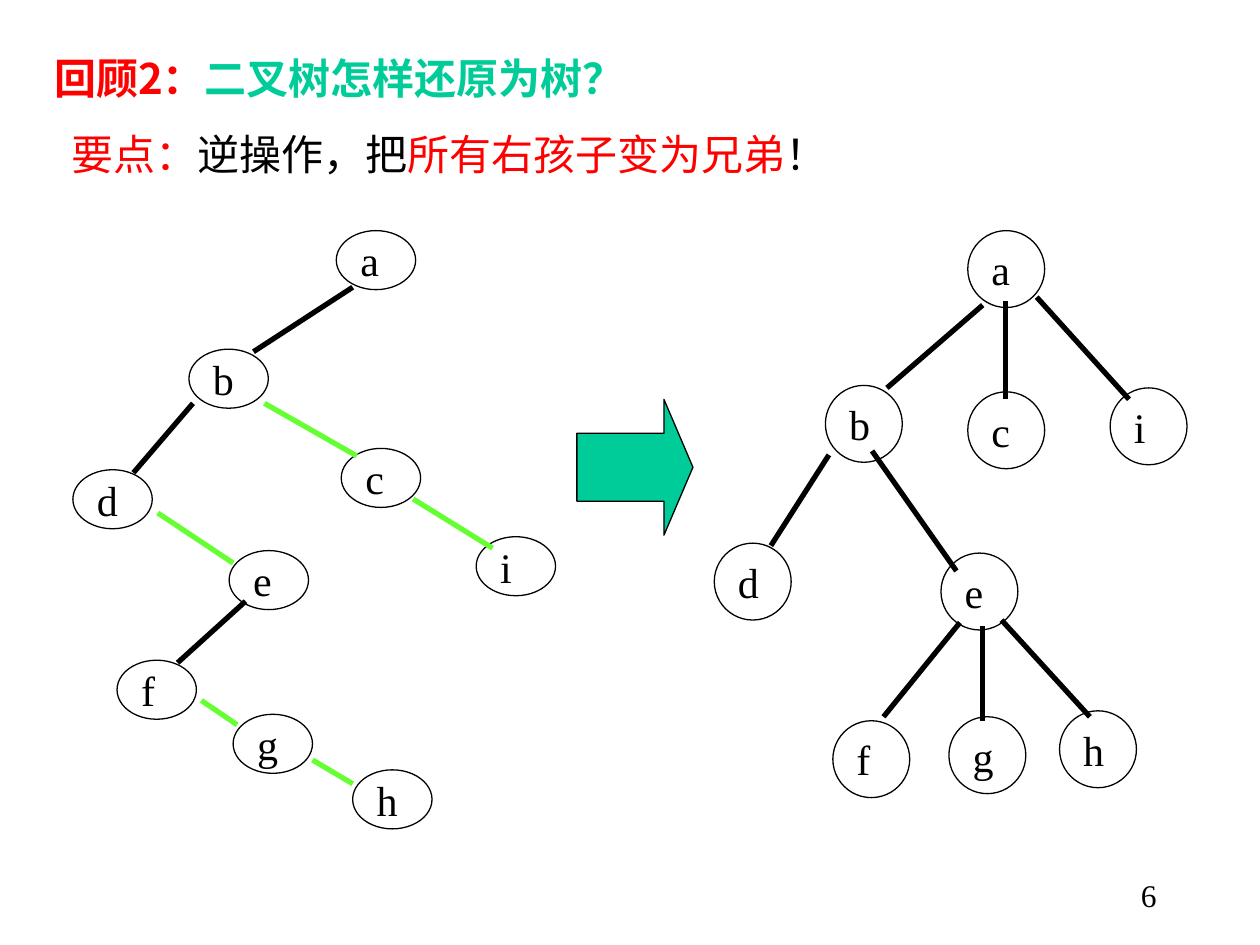
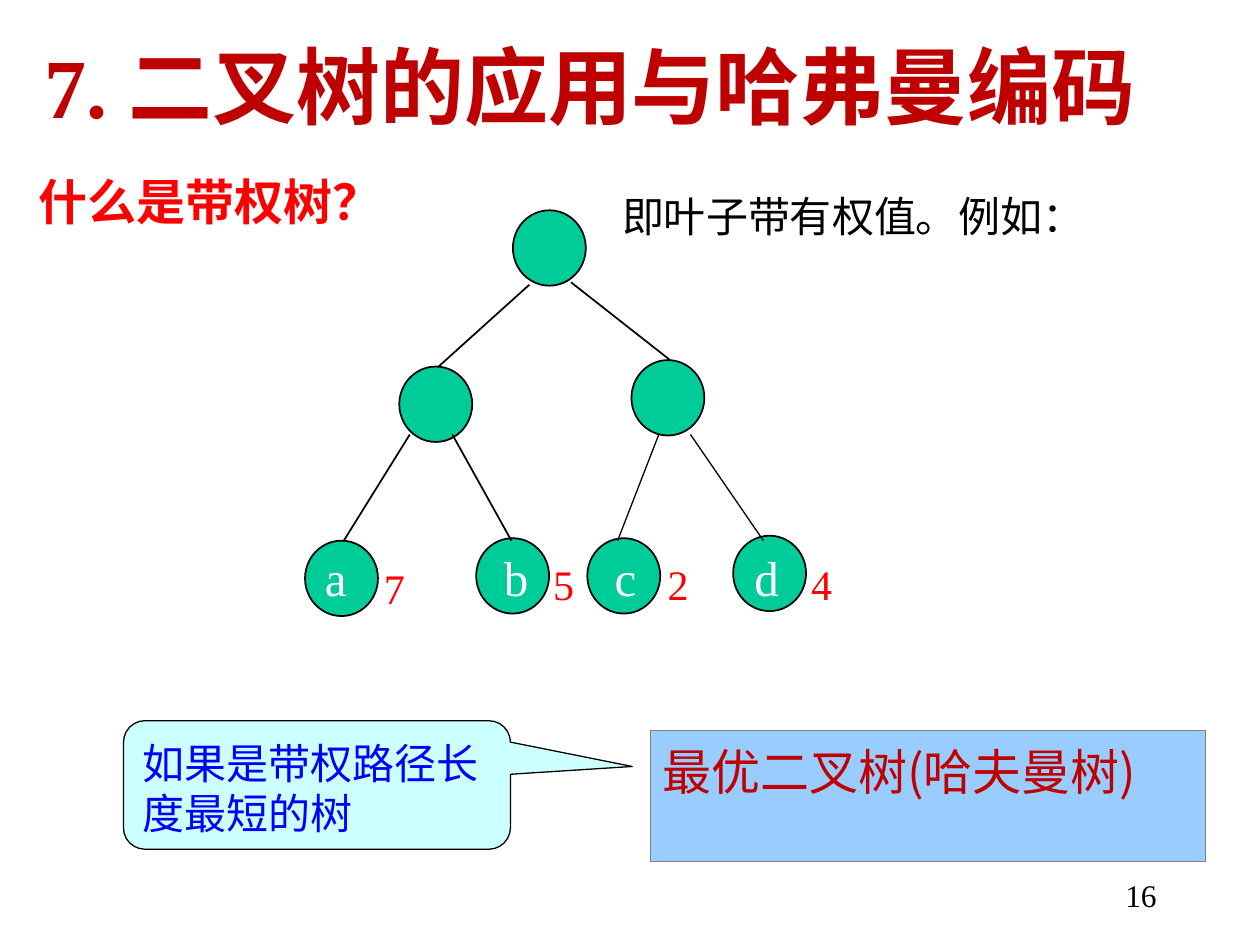
from lxml import etree
from pptx import Presentation
from pptx.dml.color import RGBColor
from pptx.enum.shapes import MSO_CONNECTOR, MSO_SHAPE
from pptx.enum.text import MSO_ANCHOR, MSO_AUTO_SIZE, PP_ALIGN
from pptx.oxml.ns import qn
from pptx.util import Cm, Pt

OVAL, RECTANGLE = MSO_SHAPE.OVAL, MSO_SHAPE.RECTANGLE
RIGHT_ARROW, CALLOUT = MSO_SHAPE.RIGHT_ARROW, MSO_SHAPE.ROUNDED_RECTANGULAR_CALLOUT
STRAIGHT = MSO_CONNECTOR.STRAIGHT
TOP, MIDDLE = MSO_ANCHOR.TOP, MSO_ANCHOR.MIDDLE
LEFT, RIGHT = PP_ALIGN.LEFT, PP_ALIGN.RIGHT
NO_AUTOSIZE = MSO_AUTO_SIZE.NONE

COLORS = {
    "black": "000000", "white": "FFFFFF", "red": "FF0000", "deep red": "BE0000",
    "brick": "C00000", "teal": "00CC99", "green": "66FF33", "blue": "0000FF",
    "sky": "99CCFF", "ice": "CCFFFF", "gray": "808080",
}
SANS, SERIF = "Noto Sans CJK SC", "Times New Roman"
CJK_LINE = 1.19    # line height in ems
CJK_DROP = 0.1     # extra space above the first line, in ems

# All places are in centimetres: boxes are left, top, width, height;
# nodes are left, top; edges are x1, y1, x2, y2.
PAGE_NUMBER_BOX = (18.29, 17.53, 5.28, 1.27)

REVIEW_TITLE = [("回顾2：", "red"), ("二叉树怎样还原为树？", "teal")]
KEY_POINT = [("要点：", "red"), ("逆操作，把", "black"),
             ("所有右孩子变为兄弟", "red"), ("！", "black")]

BINARY_NODE_SIZE = (1.6, 1.19)
BINARY_NODES = {
    "a": (6.78, 4.65), "b": (3.81, 7.04), "c": (6.88, 9.04),
    "d": (1.47, 9.47), "e": (4.62, 11.1), "f": (2.36, 13.31),
    "g": (4.7, 14.4), "h": (7.11, 15.52), "i": (9.6, 10.82),
}
LEFT_CHILD_EDGES = [(7.11, 5.79, 5.11, 7.09), (3.89, 8.13, 2.69, 9.53),
                    (4.95, 12.12, 3.58, 13.36)]
RIGHT_CHILD_EDGES = [(5.33, 8.13, 7.19, 9.19), (8.33, 10.06, 9.93, 11.05),
                     (3.18, 10.34, 4.7, 11.35), (4.06, 14.12, 4.78, 14.61),
                     (6.3, 15.32, 7.11, 15.8)]

RESTORED_NODE_SIZE = (1.55, 1.55)
RESTORED_NODES = {
    "a": (19.51, 4.65), "b": (16.64, 7.77), "c": (19.51, 7.9),
    "d": (14.4, 10.95), "e": (18.97, 11.15), "f": (16.79, 14.53),
    "g": (19.13, 14.45), "h": (21.36, 14.33), "i": (22.38, 7.82),
}
RESTORED_EDGES = [(19.81, 6.15, 17.88, 7.82), (20.27, 6.07, 20.27, 8.05),
                  (20.9, 5.99, 22.76, 8.05), (16.71, 9.17, 15.54, 11),
                  (17.58, 9.09, 19.28, 11.51), (19.35, 12.55, 17.81, 14.45),
                  (19.81, 12.62, 19.81, 14.53), (20.19, 12.5, 21.97, 14.45)]

CHAPTER = "7. 二叉树的应用与哈弗曼编码"
QUESTION = "什么是带权树？"
ANSWER = "即叶子带有权值。例如："
CONDITION = "如果是带权路径长度最短的树"
OPTIMAL_TREE = "最优二叉树(哈夫曼树)"

WEIGHTED_NODE_SIZE = (1.47, 1.52)
INNER_NODES = [(10.34, 4.24), (8.05, 7.39), (12.73, 7.26)]
# letter, node, letter's left, weight, weight's place
LEAVES = [
    ("a", (6.15, 10.9), 6.3, "7", (7.49, 11.2)),
    ("b", (9.6, 10.85), 9.91, "5", (10.9, 11.13)),
    ("c", (11.84, 10.85), 12.14, "2", (13.21, 11.13)),
    ("d", (14.78, 10.8), 14.96, "4", (16.1, 11.13)),
]
LETTER_TOP = 10.9
LABEL_SIZE = (1.1, 1.45)
WEIGHTED_EDGES = [(10.67, 5.74, 8.84, 7.39), (11.51, 5.69, 13.51, 7.26),
                  (8.26, 8.76, 6.93, 10.9), (9.12, 8.76, 10.31, 10.9)]
THIN_EDGES = [(13.28, 8.76, 12.45, 10.9), (13.92, 8.76, 15.39, 10.9)]


def rgb(color):
    return RGBColor.from_string(COLORS[color])


def cm(values):
    return [Cm(value) for value in values]


def write(shape, runs, size, font=SANS, bold=False, align=LEFT,
          anchor=TOP, wrap=True):
    """Fill a shape with one paragraph; Chinese text gets a fixed line height."""
    frame = shape.text_frame
    frame.auto_size = NO_AUTOSIZE
    frame.word_wrap = wrap
    frame.vertical_anchor = anchor
    frame.margin_left = frame.margin_right = Cm(0.25)
    frame.margin_top = frame.margin_bottom = Cm(0.13)
    paragraph = frame.paragraphs[0]
    paragraph.alignment = align
    paragraph.space_before = Pt(0)
    if not "".join(text for text, _ in runs).isascii():
        paragraph.line_spacing = Pt(round(size * CJK_LINE, 1))
        frame.margin_top = Cm(0.13) + Pt(size * CJK_DROP)
    for text, color in runs:
        run = paragraph.add_run()
        run.text = text
        run.font.size = Pt(size)
        run.font.bold = bold
        run.font.color.rgb = rgb(color)
        run.font.name = font
        east_asian = etree.SubElement(run.font._element, qn("a:ea"))
        east_asian.set("typeface", SANS)


def add_text(slide, box, runs, size, **style):
    write(slide.shapes.add_textbox(*cm(box)), runs, size, **style)


def add_figure(slide, preset, box, fill=None, line="black", width=0.75):
    figure = slide.shapes.add_shape(preset, *cm(box))
    figure.shadow.inherit = False
    if fill:
        figure.fill.solid()
        figure.fill.fore_color.rgb = rgb(fill)
    else:
        figure.fill.background()
    figure.line.color.rgb = rgb(line)
    figure.line.width = Pt(width)
    return figure


def add_edges(slide, edges, width, color="black"):
    for edge in edges:
        connector = slide.shapes.add_connector(STRAIGHT, *cm(edge))
        connector.line.color.rgb = rgb(color)
        connector.line.width = Pt(width)
        etree.SubElement(connector._element.spPr, qn("a:effectLst"))


def add_lettered_nodes(slide, nodes, size, fill=None):
    for letter, place in nodes.items():
        node = add_figure(slide, OVAL, place + size, fill)
        write(node, [(letter, "black")], 24, font=SERIF, anchor=MIDDLE, wrap=False)


def start_slide(deck, number, title_box, title_runs, title_size, title_font):
    slide = deck.slides.add_slide(deck.slide_layouts[5])
    title = slide.shapes.title
    title.left, title.top, title.width, title.height = cm(title_box)
    write(title, title_runs, title_size, font=title_font, bold=True)
    add_text(slide, PAGE_NUMBER_BOX, [(str(number), "black")], 18,
             font=SERIF, align=RIGHT)
    return slide


def build_restoring_slide(deck):
    slide = start_slide(deck, 6, (0.84, 0.84, 17.58, 1.52), REVIEW_TITLE, 24, SANS)
    add_text(slide, (1.19, 2.39, 18.42, 1.27), KEY_POINT, 24)

    add_lettered_nodes(slide, BINARY_NODES, BINARY_NODE_SIZE)
    add_edges(slide, LEFT_CHILD_EDGES, 3)
    add_edges(slide, RIGHT_CHILD_EDGES, 3, "green")

    add_lettered_nodes(slide, RESTORED_NODES, RESTORED_NODE_SIZE, "white")
    add_edges(slide, RESTORED_EDGES, 3)

    arrow = add_figure(slide, RIGHT_ARROW, (11.63, 8.05, 2.34, 2.74), "teal")
    arrow.adjustments[0], arrow.adjustments[1] = 0.5, 0.25


def build_weighted_slide(deck):
    slide = start_slide(deck, 16, (0.53, 3.23, 7.39, 1.63),
                        [(QUESTION, "red")], 28, SERIF)
    add_text(slide, (0.64, 0.41, 23.95, 1.78), [(CHAPTER, "deep red")], 48,
             font=SERIF, bold=True)
    add_text(slide, (12.29, 3.63, 10.8, 1.27), [(ANSWER, "black")], 24)

    for place in INNER_NODES + [leaf[1] for leaf in LEAVES]:
        add_figure(slide, OVAL, place + WEIGHTED_NODE_SIZE, "teal", width=1)
    add_edges(slide, WEIGHTED_EDGES, 1)
    add_edges(slide, THIN_EDGES, 0.75)
    for letter, _, letter_left, weight, weight_place in LEAVES:
        add_text(slide, (letter_left, LETTER_TOP) + LABEL_SIZE,
                 [(letter, "white")], 28, font=SERIF)
        add_text(slide, weight_place + LABEL_SIZE, [(weight, "red")], 24, font=SERIF)

    optimal = add_figure(slide, RECTANGLE, (13.11, 14.73, 11.2, 2.64), "sky", "gray")
    write(optimal, [(OPTIMAL_TREE, "brick")], 28)
    condition = add_figure(slide, CALLOUT, (2.49, 14.53, 7.8, 2.59), "ice")
    for index, value in enumerate((0.815, -0.144, 0.167)):
        condition.adjustments[index] = value
    write(condition, [(CONDITION, "blue")], 24)


def main():
    deck = Presentation()
    deck.slide_width, deck.slide_height = Cm(25.4), Cm(19.05)
    build_restoring_slide(deck)
    build_weighted_slide(deck)
    deck.save("out.pptx")


if __name__ == "__main__":
    main()
